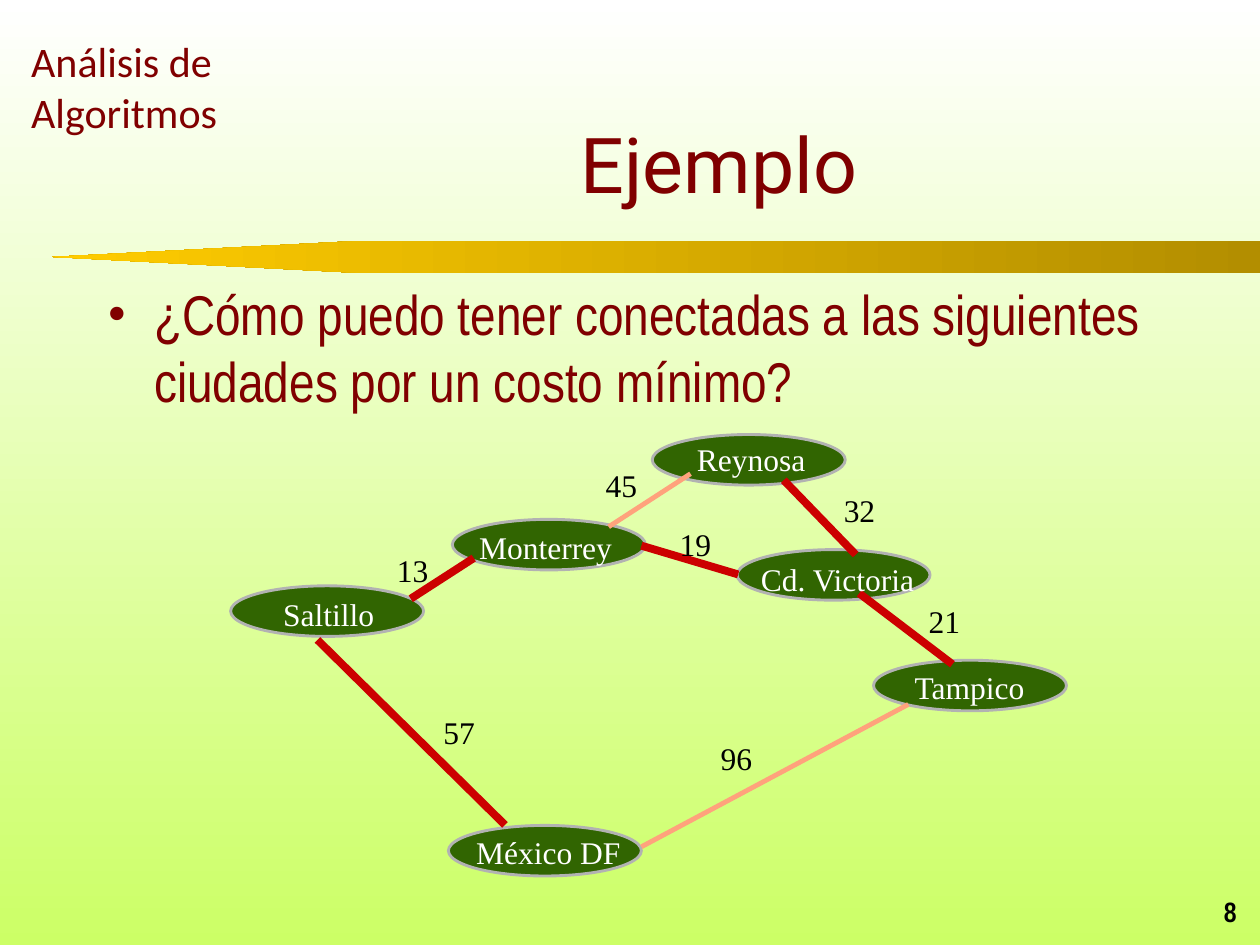
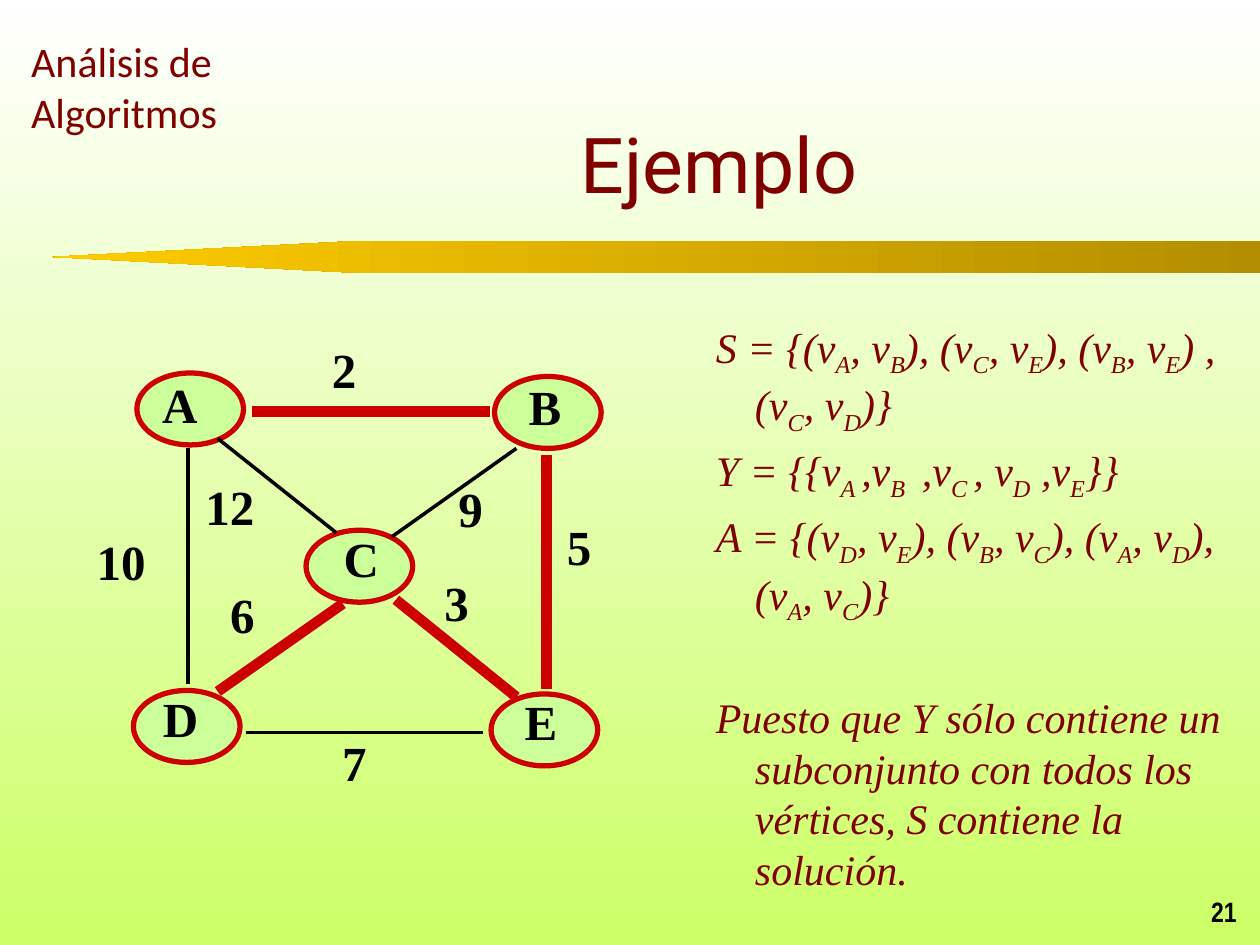
from lxml import etree
from pptx import Presentation
from pptx import util as u
from pptx.dml.color import RGBColor
from pptx.enum import shapes, text
from pptx.oxml.ns import qn

hues = {
    "white": "FFFFFF", "lime": "CCFF66", "gold": "FFCC00", "bronze": "B38E00",
    "wine": "800000", "black": "000000", "red": "CC0000", "peach": "FFA27C",
    "forest": "316501", "silver": "B2B2B2", "mint": "CCFF99",
}
hues = {name: RGBColor.from_string(code) for name, code in hues.items()}
serif = "Times New Roman"
narrow = "Arial Narrow"


def shade(fill, angle, *names):
    """Fill with a two-colour gradient."""
    fill.gradient()
    fill.gradient_angle = angle
    for stop, name in zip(fill.gradient_stops, names):
        stop.color.rgb = hues[name]


def write(page, place, words, size, font, hue, bold=False, italic=False,
          wrap=True, pad=True):
    """Add a text box; pieces between bars in words are subscripts."""
    frame = page.shapes.add_textbox(*map(u.Cm, place)).text_frame
    frame.word_wrap = wrap
    if not wrap:
        frame.auto_size = text.MSO_AUTO_SIZE.SHAPE_TO_FIT_TEXT
    if not pad:
        frame.margin_left = frame.margin_right = 0
        frame.margin_top = frame.margin_bottom = 0
    frame.text = words
    for para in frame.paragraphs:
        first, *rest = para.text.split("|")
        para.text = first
        for piece in rest:
            para.add_run().text = piece
        for i, run in enumerate(para.runs):
            run.font.size = u.Pt(size)
            run.font.name = font
            run.font.color.rgb = hues[hue]
            run.font.bold = bold
            run.font.italic = italic
            if i % 2:
                run.font._element.set("baseline", "-25000")
    return frame


deck = Presentation()
deck.slide_width, deck.slide_height = u.Cm(25.4), u.Cm(19.05)
shade(deck.slide_master.background.fill, 270, "white", "lime")

# Shared frame of each slide
pages = []
for number in ("8", "21"):
    page = deck.slides.add_slide(deck.slide_layouts[6])
    pages.append(page)
    band = page.shapes.add_shape(shapes.MSO_SHAPE.PENTAGON, u.Cm(1.05),
                                 u.Cm(4.86), u.Cm(24.35), u.Cm(0.64))
    band.adjustments[0] = 9.58
    band.shadow.inherit = False
    band.line.fill.background()
    band._element.spPr.get_or_add_xfrm().set("flipH", "1")
    shade(band.fill, 0, "bronze", "gold")
    write(page, (0.38, 0.6, 5.77, 2.29), "Análisis de\nAlgoritmos",
          24, "Calibri", "wine")
    foot = write(page, (19.9, 18, 5.28, 0.84), number, 16, narrow,
                 "black", bold=True)
    foot.vertical_anchor = text.MSO_ANCHOR.BOTTOM
    foot.paragraphs[0].alignment = text.PP_ALIGN.RIGHT
    title = write(page, (5.5, 1.69, 17.99, 3.18), "Ejemplo", 44, "Roboto",
                  "wine")
    title.vertical_anchor = text.MSO_ANCHOR.MIDDLE
    title.paragraphs[0].alignment = text.PP_ALIGN.CENTER

# Body texts
ask = write(pages[0], (1.91, 5.51, 21.59, 12.27),
            "¿Cómo puedo tener conectadas a las siguientes ciudades "
            "por un costo mínimo?", 32, narrow, "wine")
sets = write(
    pages[1], (12.91, 6.35, 12.49, 11.43),
    "S = {(v|A|, v|B|), (v|C|, v|E|), (v|B|, v|E|) , (v|C|, v|D|)}\n"
    "Y = {{v|A |,v|B | ,v|C |, v|D| ,v|E|}}\n"
    "A = {(v|D|, v|E|), (v|B|, v|C|), (v|A|, v|D|), (v|A|, v|C|)}\n"
    "Puesto que Y sólo contiene un subconjunto con todos los vértices, "
    "S contiene la solución.", 24, serif, "wine", italic=True)
for frame, left, hang, gap in ((ask, 0.95, -0.95, 7), (sets, 2.06, -0.79, 5)):
    for para in frame.paragraphs:
        para.space_before = u.Pt(gap)
        props = para._p.get_or_add_pPr()
        props.set("marL", str(u.Cm(left)))
        props.set("indent", str(u.Cm(hang)))
sets.paragraphs[-1].space_before = u.Pt(38)
props = ask.paragraphs[0]._p.get_or_add_pPr()
etree.SubElement(props, qn("a:buFont")).set("typeface", serif)
etree.SubElement(props, qn("a:buChar")).set("char", "•")

# Nodes: label, ellipse left and top, label left, top and width
towns = [
    ("Monterrey", 9.12, 10.47, 9.66, 10.64, 2.9),
    ("Saltillo", 4.65, 11.81, 5.71, 12, 2),
    ("México DF", 9.04, 16.64, 9.6, 16.79, 3.12),
    ("Reynosa", 13.15, 8.76, 14.05, 8.87, 2.35),
    ("Cd. Victoria", 14.86, 11.08, 15.34, 11.28, 3.3),
    ("Tampico", 17.61, 13.31, 18.44, 13.46, 2.4),
]
points = [
    ("A", 2.76, 7.52, 3.02, 7.42, 1.3),
    (" B", 9.97, 7.59, 10.16, 7.47, 1.5),
    (" C", 6.17, 10.69, 6.43, 10.53, 1.55),
    (" D", 2.69, 13.92, 2.79, 13.76, 1.55),
    (" E", 9.9, 13.99, 10.08, 13.82, 1.55),
]
# Edges: cost, its left and top, both line ends, whether chosen
roads = [
    ("13", 8, 11.1, (8.28, 12.07, 9.55, 11.25), True),
    ("96", 14.53, 14.9, (12.93, 17.07, 18.31, 14.2), False),
    ("57", 8.94, 14.38, (6.4, 12.9, 10.18, 16.63), True),
    ("45", 12.21, 9.4, (12.27, 10.62, 13.92, 9.55), False),
    ("32", 17.01, 9.9, (17.25, 11.18, 15.8, 9.68), True),
    ("21", 18.72, 12.14, (19.2, 13.39, 17.32, 11.96), True),
    ("19", 13.7, 10.58, (14.88, 11.58, 12.93, 11), True),
]
links = [
    ("2", 6.44, 6.71, (5.08, 8.3, 9.88, 8.3), True),
    ("7", 6.65, 14.65, (4.95, 14.77, 9.73, 14.77), False),
    ("5", 11.18, 10.29, (11.02, 9.17, 11.02, 13.89), True),
    ("10", 1.7, 10.59, (3.79, 9.04, 3.79, 13.79), False),
    ("6", 4.39, 11.66, (6.91, 12.17, 4.39, 13.94), True),
    ("9", 8.99, 9.53, (10.41, 9.04, 7.9, 10.82), False),
    ("12", 3.89, 9.48, (6.78, 10.74, 4.39, 8.84), False),
    ("3", 8.71, 11.41, (10.41, 14.05, 7.98, 12.09), True),
]
# Looks: ellipse size, fill, rim, rim width; chosen and other line;
# label colour, text size, text height, bold and padded
looks = [
    ((3.89, 1.02), "forest", "silver", 1.63, ("red", 4.5), ("peach", 2.75),
     "white", 18, 0.78, False),
    ((2.15, 1.45), "mint", "red", 3, ("red", 6), ("black", 2),
     "black", 28, 1.42, True),
]

for page, nodes, edges, look in zip(pages, (towns, points), (roads, links),
                                    looks):
    oval, fill, rim, thick, chosen, other, ink, size, tall, bold = look
    for _, x, y, *_ in nodes:
        node = page.shapes.add_shape(shapes.MSO_SHAPE.OVAL,
                                     *map(u.Cm, (x, y, *oval)))
        node.shadow.inherit = False
        node.fill.solid()
        node.fill.fore_color.rgb = hues[fill]
        node.line.color.rgb = hues[rim]
        node.line.width = u.Pt(thick)
    for *_, ends, best in edges:
        hue, width = chosen if best else other
        line = page.shapes.add_connector(shapes.MSO_CONNECTOR.STRAIGHT,
                                         *map(u.Cm, ends))
        line.line.color.rgb = hues[hue]
        line.line.width = u.Pt(width)
        etree.SubElement(line._element.spPr, qn("a:effectLst"))
    for label, _, _, x, y, wide in nodes:
        write(page, (x, y, wide, tall), label, size, serif, ink, bold,
              wrap=False, pad=bold)
    for cost, x, y, *_ in edges:
        wide = 0.51 + 0.5 * len(cost) if bold else 0.89
        write(page, (x, y, wide, tall), cost, size, serif, "black", bold,
              wrap=False, pad=bold)

deck.save("out.pptx")
